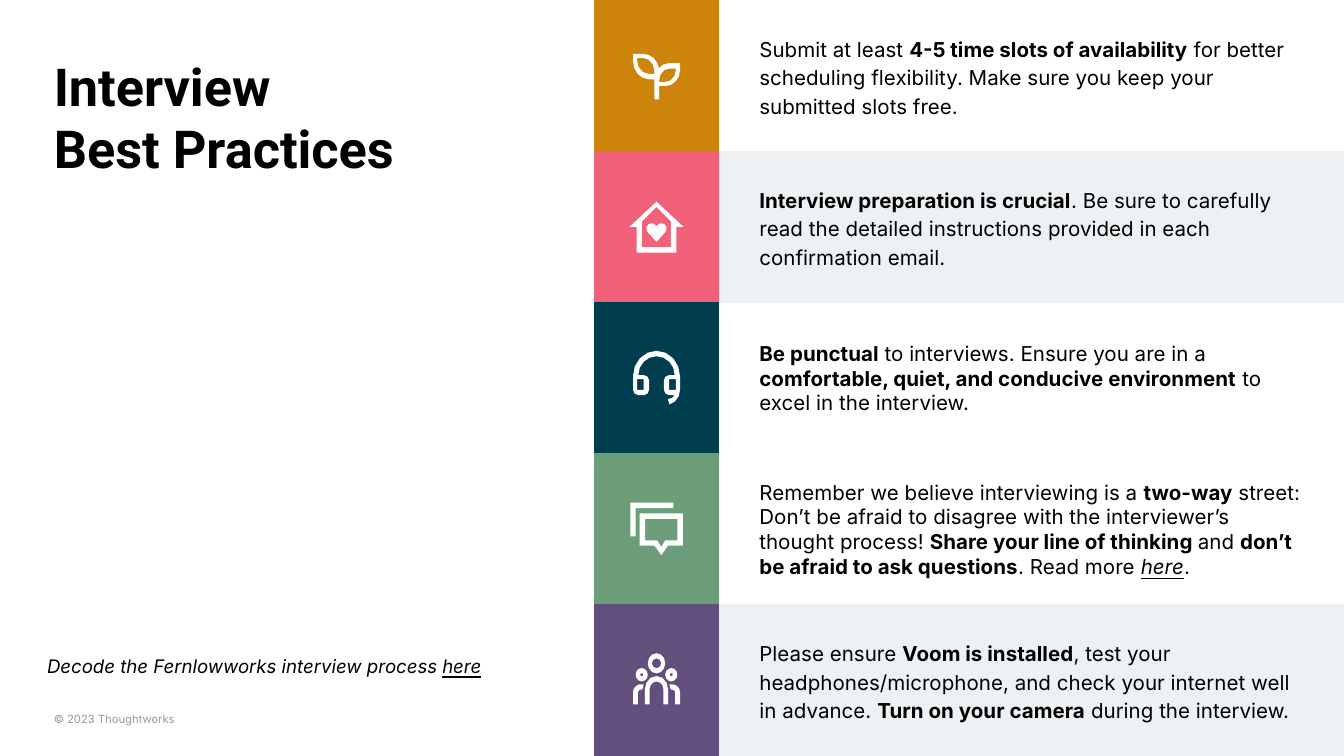
from dataclasses import dataclass
from math import cos, radians, sin

from pptx import Presentation
from pptx.dml.color import RGBColor as RGB
from pptx.enum.shapes import MSO_SHAPE as Shape
from pptx.enum.text import MSO_ANCHOR as Anchor, MSO_AUTO_SIZE as Fit, PP_ALIGN as Align
from pptx.util import Inches, Pt


@dataclass(frozen=True)
class Theme:
    ink: str = "000000"
    muted: str = "999999"
    white: str = "FFFFFF"
    tint: str = "EDF1F3"
    amber: str = "CC850A"
    rose: str = "F2617A"
    navy: str = "003D4F"
    green: str = "6B9E78"
    plum: str = "634F7D"
    head: str = "Roboto"
    body: str = "Inter"
    title: float = 28
    text: float = 11
    note: float = 10
    small: float = 6


T = Theme()
WIDE, HIGH = Inches(10), Inches(5.625)
ROWS = 5
DEEP = Inches(1.13)  # rows overlap by a hair, so no gap shows
STEP = (HIGH - DEEP) / (ROWS - 1)
TILE, PANEL = 0.442, 0.535  # left edges, as shares of the width
MIL = 914.4  # one thousandth of an inch, the unit of the icons


def arc(x, y, rx, ry, start, end):
    """Points on an ellipse; angles run clockwise from the right."""
    step = 45 if rx < 45 else 30 if rx < 100 else 22.5
    steps = max(2, round(abs(end - start) / step))
    turns = [radians(start + (end - start) * i / steps) for i in range(steps + 1)]
    return [(x + rx * cos(a), y + ry * sin(a)) for a in turns]


def oval(x, y, rx, ry):
    return arc(x, y, rx, ry, 0, 360)[:-1]


def flip(points):
    return [(-x, y) for x, y in points]


def pair(points):
    return [points, flip(points)]


def sprout():
    outer = [(-175, -162), *arc(-55, -110, 120, 138, 180, 90),
             (-15, 28), (-15, 178), (20, 178), (20, 78),
             *arc(65, -42, 110, 120, 90, 0), (175, -92),
             *arc(95, 8, 100, 100, 270, 217), *arc(-105, -40, 124, 122, 354, 270)]
    left = [*arc(-105, -32, 90, 100, 270, 360), (-15, -12),
            *arc(-55, -112, 90, 100, 90, 180), (-145, -132)]
    right = [(145, -52), *arc(65, -42, 80, 90, 0, 90), (20, 48),
             *arc(95, 38, 75, 90, 180, 270)]
    return [outer, left, right]


def house():
    outer = [(0, -187), (200, 0), (148, 0), (148, 192),
             (-148, 192), (-148, 0), (-200, 0)]
    inner = [(0, -147), (108, -40), (108, 152), (-108, 152), (-108, -40)]
    heart = [*arc(-36, 12, 40, 40, 140, 335), *arc(36, 12, 40, 40, 205, 400), (0, 112)]
    return [outer, inner, heart]


def headset():
    cup = [*arc(-95, 18, 40, 40, 270, 360), *arc(-95, 88, 40, 40, 0, 90)]
    outer = [*arc(0, -12, 175, 190, 180, 360), *arc(75, 88, 100, 110, 0, 78),
             (85, 158), (115, 148), (135, 128), *flip(cup)[::-1],
             *arc(0, -22, 135, 140, 360, 180), *cup,
             *arc(-135, 88, 40, 40, 90, 180)]
    return [outer, *pair([(-145, 8), (-95, 8), (-95, 88), (-145, 88)])]


def chat():
    back = [(-195, -197), (125, -197), (125, -157), (-155, -157), (-155, 53), (-195, 53)]
    outer = [(-125, -117), (195, -117), (195, 123), (85, 123),
             (35, 193), (-15, 123), (-125, 123)]
    inner = [(-85, -77), (155, -77), (155, 83), (65, 83), (35, 133), (5, 83), (-85, 83)]
    return [back, outer, inner]


def people():
    body = [*arc(0, 68, 87, 100, 180, 360), (87, 178), (52, 178),
            *arc(0, 68, 52, 60, 360, 180), (-52, 178), (-87, 178)]
    side = [*arc(-112, 88, 63, 60, 180, 285), *arc(-112, 88, 27, 22, 285, 180),
            (-139, 178), (-175, 178)]
    return [oval(0, -127, 65, 75), oval(0, -127, 35, 37), body, *pair(side),
            *pair(oval(-110, -42, 45, 50)), *pair(oval(-110, -42, 12, 12))]


def paint(shape, color):
    shape.shadow.inherit = False
    shape.fill.solid()
    shape.fill.fore_color.rgb = RGB.from_string(color)
    shape.line.fill.background()


def add_runs(para, runs, size, font=T.body, color=T.ink):
    """Each run is (text, marks), with marks from b, i and u."""
    para.alignment = Align.LEFT
    para.space_before = Pt(0)
    for text, marks in runs:
        run = para.add_run()
        run.text = text
        face = run.font
        face.name, face.size = font, Pt(size)
        face.color.rgb = RGB.from_string(color)
        face.bold, face.italic, face.underline = (m in marks for m in "biu")


def set_frame(shape, anchor, side=0, edge=0):
    frame = shape.text_frame
    frame.word_wrap = True
    frame.auto_size = Fit.NONE
    frame.vertical_anchor = anchor
    frame.margin_left = frame.margin_right = Inches(side)
    frame.margin_top = frame.margin_bottom = Inches(edge)
    return frame


def place(shape, left, top, width, height):
    shape.left, shape.top = Inches(left), Inches(top)
    shape.width, shape.height = Inches(width), Inches(height)


def add_icon(slide, paths, x, y):
    first, *rest = paths
    pen = slide.shapes.build_freeform(*first[0], scale=MIL)
    pen.add_line_segments(first[1:], close=True)
    for points in rest:
        pen.move_to(*points[0])
        pen.add_line_segments(points[1:], close=True)
    paint(pen.convert_to_shape(int(x), int(y)), T.white)


def add_row(slide, index, color, icon, tinted, gap, runs):
    top, left, mid = int(index * STEP), int(TILE * WIDE), int(PANEL * WIDE)
    tile = slide.shapes.add_shape(Shape.RECTANGLE, left, top, mid - left, DEEP)
    paint(tile, color)
    area = mid, top, WIDE - mid, DEEP
    if tinted:
        panel = slide.shapes.add_shape(Shape.RECTANGLE, *area)
        paint(panel, T.tint)
    else:
        panel = slide.shapes.add_textbox(*area)
    para = set_frame(panel, Anchor.MIDDLE, 0.3, 0.1).paragraphs[0]
    para.line_spacing = gap
    add_runs(para, runs, T.text)
    add_icon(slide, icon(), (left + mid) / 2, (index + 0.5) * HIGH / ROWS)


TIPS = [
    (T.amber, sprout, False, 1.15, [
        ("Submit at least ", ""), ("4-5 time slots of availability", "b"),
        (" for better scheduling flexibility. Make sure you keep your submitted slots free.", "")]),
    (T.rose, house, True, 1.15, [
        ("Interview preparation is crucial", "b"),
        (". Be sure to carefully read the detailed instructions provided in each confirmation email.", "")]),
    (T.navy, headset, False, 1.0, [
        ("Be punctual", "b"), (" to interviews. Ensure you are in a ", ""),
        ("comfortable, quiet, and conducive environment", "b"),
        (" to excel in the interview.", "")]),
    (T.green, chat, False, 1.0, [
        ("Remember we believe interviewing is a ", ""), ("two-way", "b"),
        (" street: Don’t be afraid to disagree with the interviewer’s thought process! ", ""),
        ("Share your line of thinking ", "b"), ("and ", ""),
        ("don’t be afraid to ask questions", "b"), (". Read more ", ""),
        ("here", "iu"), (".", "")]),
    (T.plum, people, True, 1.15, [
        ("Please ensure ", ""), ("Voom is installed", "b"),
        (", test your headphones/microphone, and check your internet well in advance. ", ""),
        ("Turn on your camera", "b"), (" during the interview.", "")]),
]


def add_heads(slide):
    title, note = slide.placeholders
    place(title, 0.4, 0.4, 3.78, 1.47)
    frame = set_frame(title, Anchor.TOP)
    add_runs(frame.paragraphs[0], [("Interview", "b")], T.title, T.head)
    add_runs(frame.add_paragraph(), [("Best Practices", "b")], T.title, T.head)

    place(note, 0.35, 4.87, 3.78, 0.34)
    add_runs(set_frame(note, Anchor.TOP).paragraphs[0],
             [("Decode the Fernlowworks interview process ", "i"), ("here", "iu")], T.note)

    foot = slide.shapes.add_textbox(0, 0, 0, 0)
    place(foot, 0.4, 5.21, 4.31, 0.19)
    add_runs(set_frame(foot, Anchor.BOTTOM).paragraphs[0],
             [("© 2023 Thoughtworks", "")], T.small, color=T.muted)


def main():
    deck = Presentation()
    deck.slide_width, deck.slide_height = WIDE, HIGH
    slide = deck.slides.add_slide(deck.slide_layouts[0])
    add_heads(slide)
    for index, tip in enumerate(TIPS):
        add_row(slide, index, *tip)
    deck.save("out.pptx")


if __name__ == "__main__":
    main()
